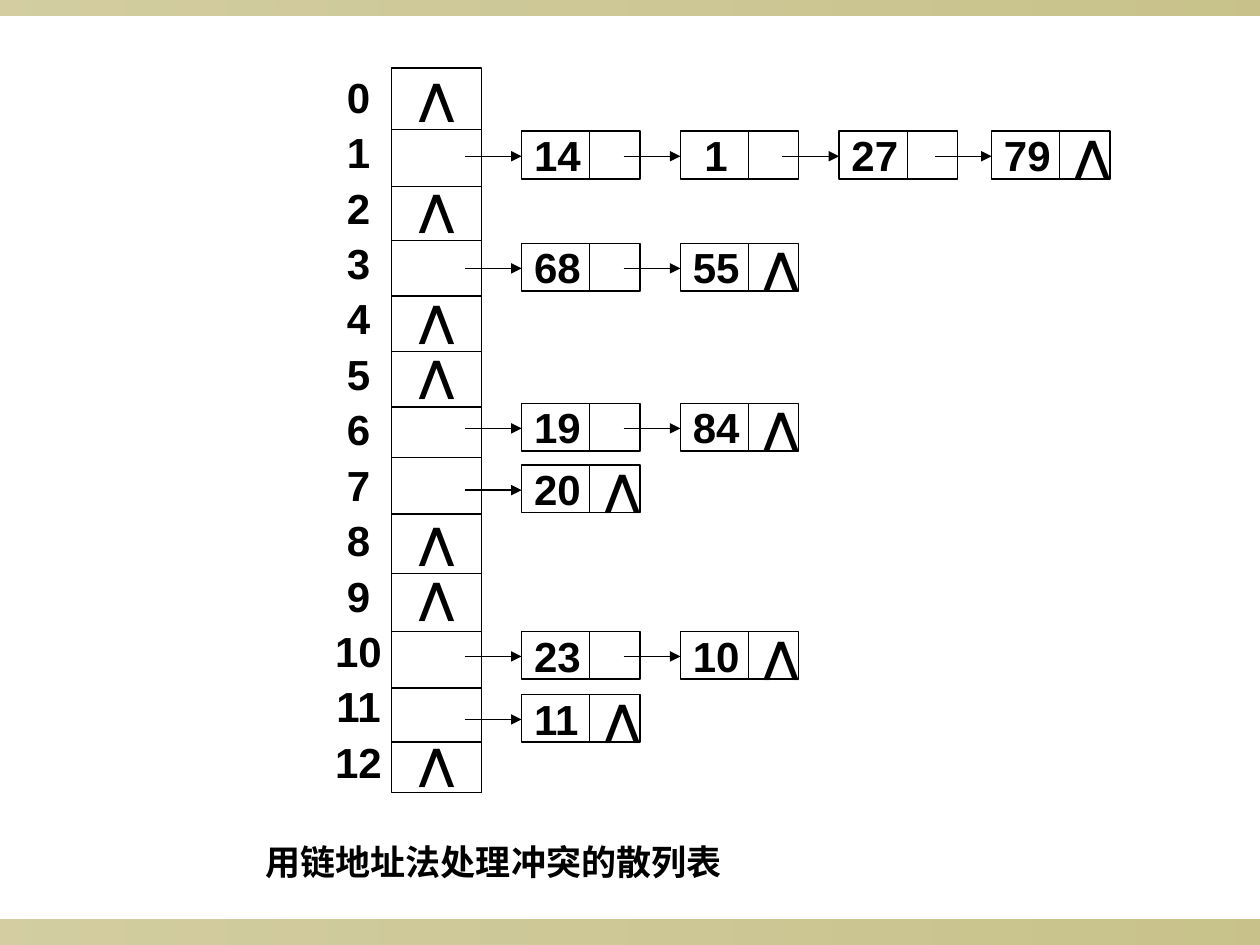
from lxml import etree
from pptx import Presentation
from pptx.dml.color import RGBColor
from pptx.enum.shapes import MSO_CONNECTOR, MSO_SHAPE
from pptx.enum.text import MSO_ANCHOR, PP_ALIGN
from pptx.oxml.ns import qn
from pptx.util import Inches, Pt

RECT = MSO_SHAPE.RECTANGLE
STRAIGHT = MSO_CONNECTOR.STRAIGHT
MIDDLE = MSO_ANCHOR.MIDDLE
LEFT, CENTER = PP_ALIGN.LEFT, PP_ALIGN.CENTER

# Content: hash table with 13 slots, chains keyed by slot number
CAPTION = "用链地址法处理冲突的散列表"
NIL = "⋀"
SLOTS = 13
CHAINS = {
    1: [14, 1, 27, 79],
    3: [68, 55],
    6: [19, 84],
    7: [20],
    10: [23, 10],
    11: [11],
}

# Geometry in inches
CHAIN_TOPS = {1: 1.04, 3: 1.93, 6: 3.2, 7: 3.69, 10: 5.01, 11: 5.51}
NODE_LEFTS = [4.14, 5.4, 6.66, 7.87]
NODE_W, NODE_H = 0.94, 0.38
DIVIDER_X, NIL_TAB = 0.54, 0.56
ARROW_LENGTH, ARROW_Y = 0.45, 0.2
TABLE_LEFT, TABLE_TOP, TABLE_W, TABLE_H = 3.11, 0.54, 0.71, 5.75
NUMBERS_LEFT, NUMBERS_TOP, NUMBERS_W = 2.6, 0.51, 0.49
SLOT_LINES = [1.03, 1.48, 1.91, 2.35, 2.79, 3.23, 3.63, 4.08, 4.55, 5.01, 5.46, 5.89]
BARS = [(7.3, 0.2), (0, 0.12)]  # top, height

# Style
COLORS = {"ink": "000000", "bar": "918415"}
BAR_OPACITIES = ["40000", "50000"]
FONT = "Arial"
LINE_WIDTH = Pt(0.75)
LINE_SPACING = 1.1
ROW_PITCH = 31.7  # points from one slot text to the next


def rgb(name):
    return RGBColor.from_string(COLORS[name])


def style_text(frame, size=24, align=LEFT, wrap=False):
    frame.word_wrap = wrap
    frame.vertical_anchor = MIDDLE
    for paragraph in frame.paragraphs:
        paragraph.alignment = align
        paragraph.font.name = FONT
        paragraph.font.size = Pt(size)
        paragraph.font.bold = True
        paragraph.font.color.rgb = rgb("ink")


def add_box(slide, left, top, width, height):
    box = slide.shapes.add_shape(RECT, Inches(left), Inches(top), Inches(width), Inches(height))
    box.shadow.inherit = False
    box.fill.background()
    box.line.color.rgb = rgb("ink")
    box.line.width = LINE_WIDTH
    return box


def add_line(slide, x1, y1, x2, y2, arrow=False):
    line = slide.shapes.add_connector(STRAIGHT, Inches(x1), Inches(y1), Inches(x2), Inches(y2))
    line.line.color.rgb = rgb("ink")
    line.line.width = LINE_WIDTH
    properties = line._element.spPr
    if arrow:
        etree.SubElement(properties.find(qn("a:ln")), qn("a:tailEnd"), type="triangle")
    etree.SubElement(properties, qn("a:effectLst"))


def add_bar(slide, top, height):
    bar = add_box(slide, 0, top, 10, height)
    bar.line.fill.background()
    bar.fill.gradient()
    bar.fill.gradient_angle = 0
    for stop in bar.fill.gradient_stops:
        stop.color.rgb = rgb("bar")
    for color, opacity in zip(bar._element.spPr.iter(qn("a:srgbClr")), BAR_OPACITIES):
        etree.SubElement(color, qn("a:alpha"), val=opacity)


def add_node(slide, key, left, top, is_last):
    frame = add_box(slide, left, top, NODE_W, NODE_H).text_frame
    paragraph = frame.paragraphs[0]
    paragraph.text = f"{key}\t{NIL}" if is_last else str(key)
    if key < 10:
        frame.margin_left = Inches(0.19)
    if is_last:
        tabs = etree.SubElement(paragraph._p.get_or_add_pPr(), qn("a:tabLst"))
        etree.SubElement(tabs, qn("a:tab"), pos=str(Inches(NIL_TAB)), algn="l")
    style_text(frame)
    add_line(slide, left + DIVIDER_X, top, left + DIVIDER_X, top + NODE_H)
    arrow_y = top + ARROW_Y
    add_line(slide, left - ARROW_LENGTH, arrow_y, left, arrow_y, arrow=True)


def add_slot_table(slide):
    # Slot numbers
    numbers = slide.shapes.add_textbox(
        Inches(NUMBERS_LEFT), Inches(NUMBERS_TOP), Inches(NUMBERS_W), Inches(TABLE_H)
    ).text_frame
    numbers.text = "\n".join(str(slot) for slot in range(SLOTS))
    numbers.margin_left = numbers.margin_right = 0
    style_text(numbers, align=CENTER, wrap=True)
    for paragraph in numbers.paragraphs:
        paragraph.line_spacing = LINE_SPACING

    # Empty slots carry the nil mark, used slots leave a gap
    table = add_box(slide, TABLE_LEFT, TABLE_TOP, TABLE_W, TABLE_H).text_frame
    empty_slots = [slot for slot in range(SLOTS) if slot not in CHAINS]
    table.text = "\n".join(NIL for _ in empty_slots)
    style_text(table, align=CENTER)
    for mark, previous, slot in zip(table.paragraphs[1:], empty_slots, empty_slots[1:]):
        mark.line_spacing = LINE_SPACING
        mark.space_before = Pt((slot - previous - 1) * ROW_PITCH)

    for y in SLOT_LINES:
        add_line(slide, TABLE_LEFT, y, TABLE_LEFT + TABLE_W, y)


def main():
    deck = Presentation()
    deck.slide_width, deck.slide_height = Inches(10), Inches(7.5)
    slide = deck.slides.add_slide(deck.slide_layouts[6])

    for top, height in BARS:
        add_bar(slide, top, height)

    # Caption
    caption = slide.shapes.add_textbox(Inches(2.01), Inches(6.66), Inches(4.88), Inches(0.35))
    caption.text_frame.text = CAPTION
    style_text(caption.text_frame, size=20, wrap=True)

    # Chains
    for slot, keys in CHAINS.items():
        for index, (key, left) in enumerate(zip(keys, NODE_LEFTS)):
            add_node(slide, key, left, CHAIN_TOPS[slot], index == len(keys) - 1)

    add_slot_table(slide)
    deck.save("out.pptx")


if __name__ == "__main__":
    main()
